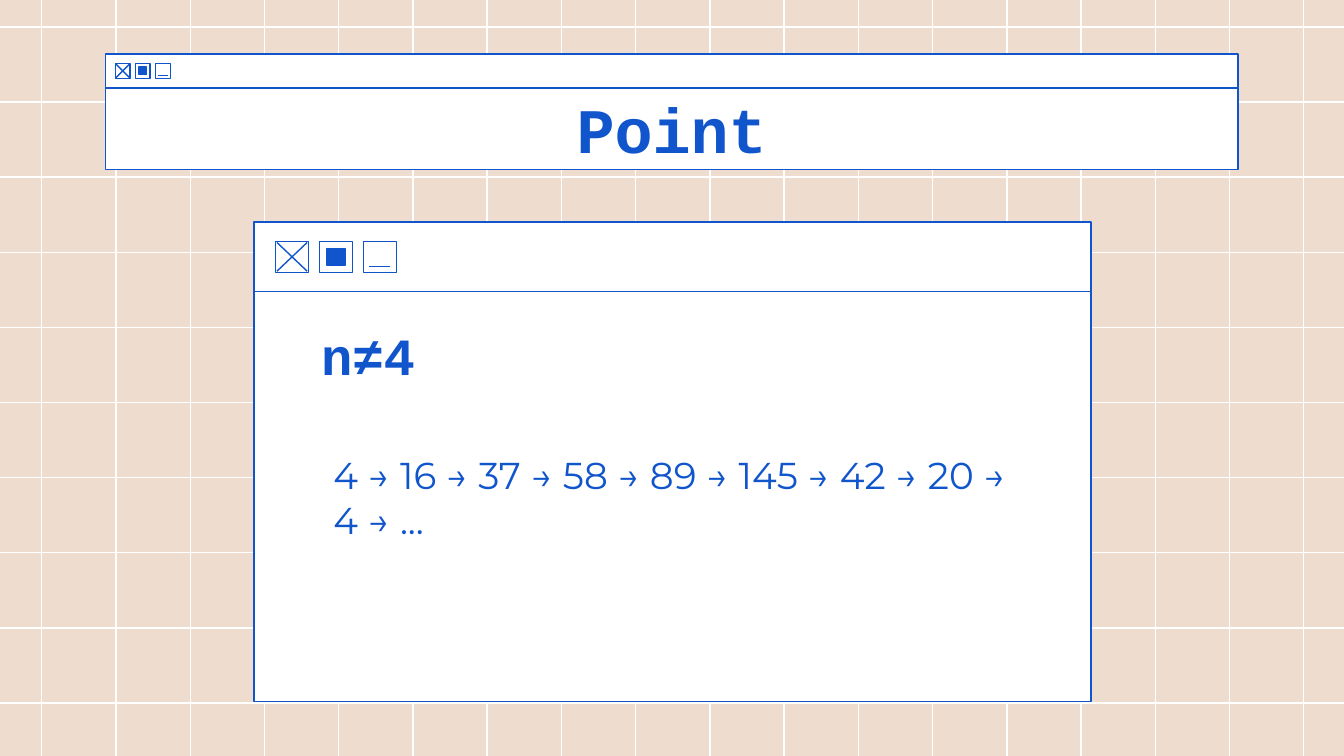
import pptx
import pptx.util
import pptx.dml.color
import pptx.enum.shapes
import pptx.enum.text
import lxml.etree

Cm, Pt = pptx.util.Cm, pptx.util.Pt
RGB = pptx.dml.color.RGBColor.from_string
PP_ALIGN = pptx.enum.text.PP_ALIGN
COLORS = {"sand": "EEDCCE", "white": "FFFFFF", "blue": "1155CC"}
DRAWING_NS = "http://schemas.openxmlformats.org/drawingml/2006/main"

prs = pptx.Presentation()
prs.slide_width, prs.slide_height = Cm(25.4), Cm(14.29)
s = prs.slides.add_slide(prs.slide_layouts[0])
s.background.fill.solid()
s.background.fill.fore_color.rgb = RGB(COLORS["sand"])


def add_line(x1, y1, x2, y2, color):
    line = s.shapes.add_connector(
        pptx.enum.shapes.MSO_CONNECTOR.STRAIGHT, Cm(x1), Cm(y1), Cm(x2), Cm(y2))
    line.line.color.rgb = RGB(COLORS[color])
    line.line.width = Pt(0.75)
    lxml.etree.SubElement(line.element.spPr, f"{{{DRAWING_NS}}}effectLst")


def add_box(x, y, w, h, fill=None):
    sp = s.shapes.add_shape(
        pptx.enum.shapes.MSO_SHAPE.RECTANGLE, Cm(x), Cm(y), Cm(w), Cm(h))
    sp.shadow.inherit = False
    if fill:
        sp.fill.solid()
        sp.fill.fore_color.rgb = RGB(COLORS[fill])
    else:
        sp.fill.background()
    sp.line.color.rgb = RGB(COLORS["blue"])
    sp.line.width = Pt(0.75)


# Background grid
for i in range(18):
    x = 0.79 + i * 23.85 / 17
    add_line(x, 0, x, 14.29, "white")
for i in range(10):
    y = 0.51 + i * 1.42
    add_line(0, y, 25.4, y, "white")

# Window frames: content body, content bar, title bar
add_box(4.8, 5.51, 15.82, 7.75, "white")
add_box(4.8, 4.2, 15.82, 1.31, "white")
add_box(1.99, 1.02, 21.41, 0.64, "white")

# Window buttons: close, maximize, minimize
for x, y, w, h, pitch in [(5.21, 4.56, 0.62, 0.59, 0.83),
                          (2.18, 1.2, 0.28, 0.28, 0.38)]:
    for i in range(3):
        add_box(x + i * pitch, y, w, h)
    left, right = x + 0.04 * w, x + 0.96 * w
    top, bottom = y + 0.04 * h, y + 0.96 * h
    add_line(left, top, right, bottom, "blue")
    add_line(right, top, left, bottom, "blue")
    add_box(x + pitch + 0.23 * w, y + 0.23 * h, 0.54 * w, 0.54 * h, "blue")
    x_min = x + 2 * pitch
    add_line(x_min + 0.18 * w, y + 0.82 * h, x_min + 0.82 * w, y + 0.82 * h, "blue")

# Title panel
title = s.shapes.title
title.fill.solid()
title.fill.fore_color.rgb = RGB(COLORS["white"])
title.line.color.rgb = RGB(COLORS["blue"])
title.line.width = Pt(0.75)

# Texts, placed above the frames
sequence = s.placeholders[1]
heading = s.shapes.add_textbox(0, 0, 0, 0)
for sp, box, text, font, size, bold, align, spacing in [
    (title, (1.99, 1.66, 21.41, 1.54), "Point",
     "Courier New", 34, True, PP_ALIGN.CENTER, 1),
    (heading, (5.82, 5.87, 5.31, 1.8), "n≠4",
     "Courier New", 28, True, PP_ALIGN.LEFT, 0.9),
    (sequence, (6.05, 8.79, 13.51, 1.22),
     "4 → 16 → 37 → 58 → 89 → 145 → 42 → 20 → 4 → ...",
     "Montserrat", 20, False, PP_ALIGN.LEFT, 1),
]:
    s.shapes.element.append(sp.element)
    sp.left, sp.top, sp.width, sp.height = map(Cm, box)
    tf = sp.text_frame
    tf.word_wrap = True
    tf.auto_size = pptx.enum.text.MSO_AUTO_SIZE.NONE
    tf.vertical_anchor = pptx.enum.text.MSO_ANCHOR.MIDDLE
    tf.margin_left = tf.margin_right = tf.margin_top = tf.margin_bottom = Cm(0.25)
    p = tf.paragraphs[0]
    p.alignment = align
    p.line_spacing = spacing
    p.space_before = Pt(0)
    r = p.add_run()
    r.text = text
    r.font.name = font
    r.font.size = Pt(size)
    r.font.bold = bold
    r.font.color.rgb = RGB(COLORS["blue"])

prs.save("out.pptx")
